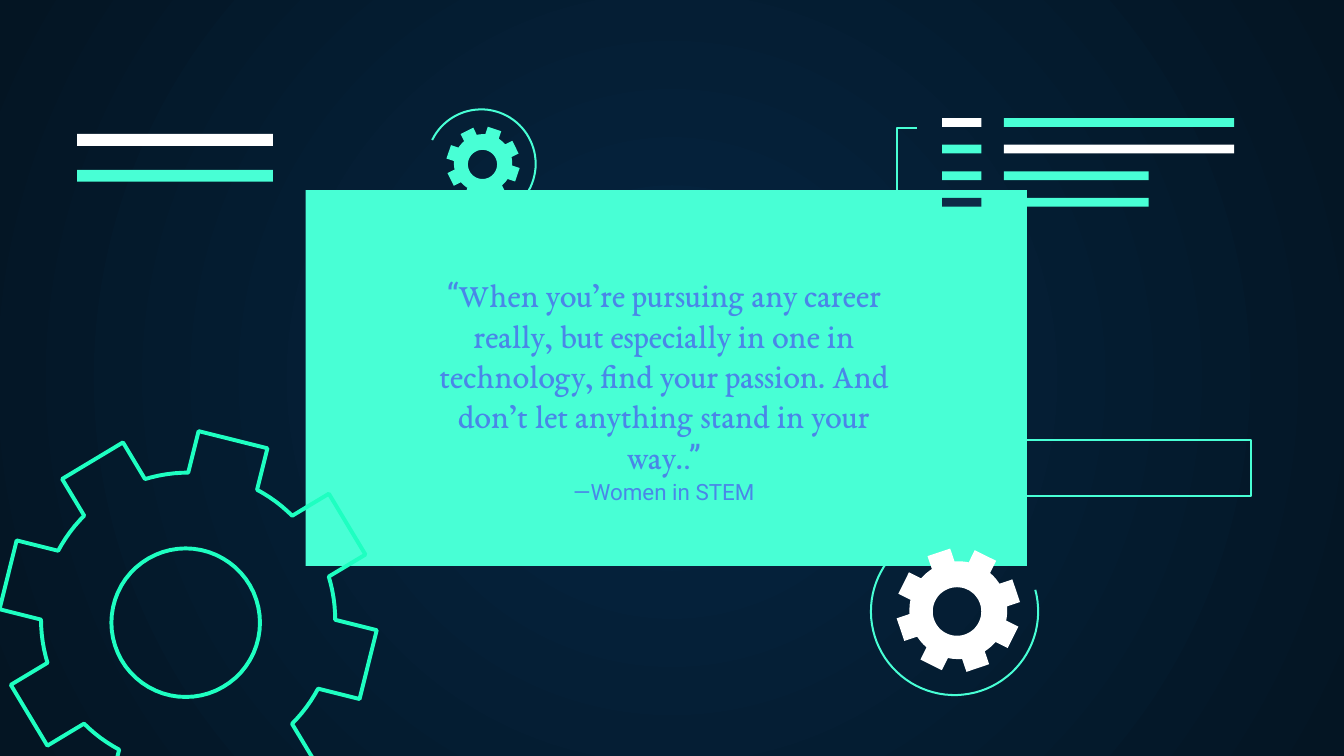
from math import cos, radians, sin

from lxml import etree
from pptx import Presentation
from pptx.dml.color import RGBColor
from pptx.enum import shapes, text
from pptx.oxml import ns
from pptx.util import Pt

MINT = RGBColor(0x48, 0xFF, 0xD5)
GREEN = RGBColor(0x1E, 0xFF, 0xC1)
WHITE = RGBColor(0xFF, 0xFF, 0xFF)
NAVY = RGBColor(0x0E, 0x2A, 0x47)
BLUE = RGBColor(0x4A, 0x86, 0xE8)
GLOW = RGBColor(0x05, 0x26, 0x43)
DARK = RGBColor(0x04, 0x15, 0x23)

SERIF, SANS = "EB Garamond", "Roboto"
QUOTE = [
    ("“", SANS),
    ("When you’re pursuing any career really, but especially in one in "
     "technology, find your passion. And don’t let anything stand in your way.", SERIF),
    (".”", SANS),
]
AUTHOR = [("—Women in STEM", SANS)]

PANEL = (163.7, 101.8, 386.5, 201.4)
FRAME = (518.4, 235.9, 151.8, 29.9)
BRACKET = [(491.4, 112.1), (480.5, 112.1), (480.5, 68.5), (491.2, 68.5)]
CODE_ROWS = [(WHITE, MINT, 123.4), (MINT, WHITE, 123.4), (MINT, MINT, 77.6), (NAVY, MINT, 77.6)]
CODE_TOP, CODE_STEP, CODE_H = 63.3, 14.25, 4.7
LABEL_X, LABEL_W, CODE_X = 504.7, 21, 537.8
LEFT_BARS = [WHITE, MINT]

ARCS = [
    dict(center=(257.8, 87.8), radius=29.2, start=206, end=456),
    dict(center=(511.4, 327.6), radius=44.8, start=-15, end=233),
]
BIG_GEAR = dict(center=(100.8, 332), outer=99.4, root=78.8, half=19,
                turn=14, hole=(99.5, 333.6, 39.8))
WHITE_GEAR = dict(center=(513.4, 326.9), outer=32.7, root=26.2, half=6.4,
                  turn=26.4, hole=(512.7, 327.6, 13))
SMALL_GEAR = dict(center=(258.8, 87.5), outer=19.4, root=15.6, half=3.8,
                  turn=18.5, hole=(258.5, 88.1, 7.8))
TEETH = 8

prs = Presentation()
prs.slide_width, prs.slide_height = Pt(720), Pt(405)
s = prs.slides.add_slide(prs.slide_layouts[6])


def paint(sp, fill=None, line=None, width=1.09):
    sp.shadow.inherit = False
    if fill is None:
        sp.fill.background()
    else:
        sp.fill.solid()
        sp.fill.fore_color.rgb = fill
    if line is None:
        sp.line.fill.background()
    else:
        sp.line.color.rgb = line
        sp.line.width = Pt(width)


def add_rect(box, **style):
    sp = s.shapes.add_shape(shapes.MSO_SHAPE.RECTANGLE, *map(Pt, box))
    paint(sp, **style)


def add_outline(contours, close=True, **style):
    pts = [[(Pt(x), Pt(y)) for x, y in c] for c in contours]
    fb = s.shapes.build_freeform(*pts[0][0])
    fb.add_line_segments(pts[0][1:], close=close)
    for c in pts[1:]:
        fb.move_to(*c[0])
        fb.add_line_segments(c[1:], close=close)
    paint(fb.convert_to_shape(), **style)


def arc(center, radius, start, end, steps=60):
    cx, cy = center
    angles = [radians(start + (end - start) * i / steps) for i in range(steps + 1)]
    return [(cx + radius * cos(a), cy + radius * sin(a)) for a in angles]


def add_gear(center, outer, root, half, turn, hole, **style):
    cx, cy = center
    base = (root ** 2 - half ** 2) ** 0.5
    rim = []
    for i in range(TEETH):
        a = radians(turn + i * 360 / TEETH)
        for r, t in ((base, -half), (outer, -half), (outer, half), (base, half)):
            rim.append((cx + r * cos(a) - t * sin(a), cy + r * sin(a) + t * cos(a)))
        gap = turn + (i + 0.5) * 360 / TEETH
        rim += arc(center, root, gap - 6, gap + 6, 4)
    add_outline([rim, arc(hole[:2], hole[2], 360, 0)[:-1]], **style)


def add_text(box, runs, size, anchor):
    tf = s.shapes.add_textbox(*map(Pt, box)).text_frame
    tf.word_wrap = True
    tf.vertical_anchor = anchor
    tf.margin_left = tf.margin_right = tf.margin_top = tf.margin_bottom = Pt(7.2)
    p = tf.paragraphs[0]
    p.alignment = text.PP_ALIGN.CENTER
    for words, font in runs:
        r = p.add_run()
        r.text = words
        r.font.name, r.font.size = font, Pt(size)
        r.font.color.rgb = BLUE


bg = s.background.fill
bg.gradient()
for stop, color in zip(bg.gradient_stops, (GLOW, DARK)):
    stop.color.rgb = color
lin = s.element.find(".//" + ns.qn("a:lin"))
radial = etree.Element(ns.qn("a:path"), {"path": "circle"})
etree.SubElement(radial, ns.qn("a:fillToRect"), dict.fromkeys("ltrb", "50000"))
lin.getparent().replace(lin, radial)

add_rect(PANEL, fill=MINT)
for a in ARCS:
    add_outline([arc(**a)], close=False, line=MINT)
add_gear(**BIG_GEAR, line=GREEN, width=2.1)
add_gear(**WHITE_GEAR, fill=WHITE)
add_gear(**SMALL_GEAR, fill=MINT)

for i, (label, bar, width) in enumerate(CODE_ROWS):
    y = CODE_TOP + i * CODE_STEP
    add_rect((LABEL_X, y, LABEL_W, CODE_H), fill=label)
    add_rect((CODE_X, y, width, CODE_H), fill=bar)
add_outline([BRACKET], close=False, line=MINT)
for i, color in enumerate(LEFT_BARS):
    add_rect((41.3, 71.8 + 19.2 * i, 105, 6.4), fill=color)
add_rect(FRAME, line=MINT)

add_text((216.7, 125.3, 277.9, 152.6), AUTHOR, 12, text.MSO_ANCHOR.BOTTOM)
add_text((219.6, 139.7, 272.2, 111.6), QUOTE, 18, text.MSO_ANCHOR.TOP)

prs.save("out.pptx")
